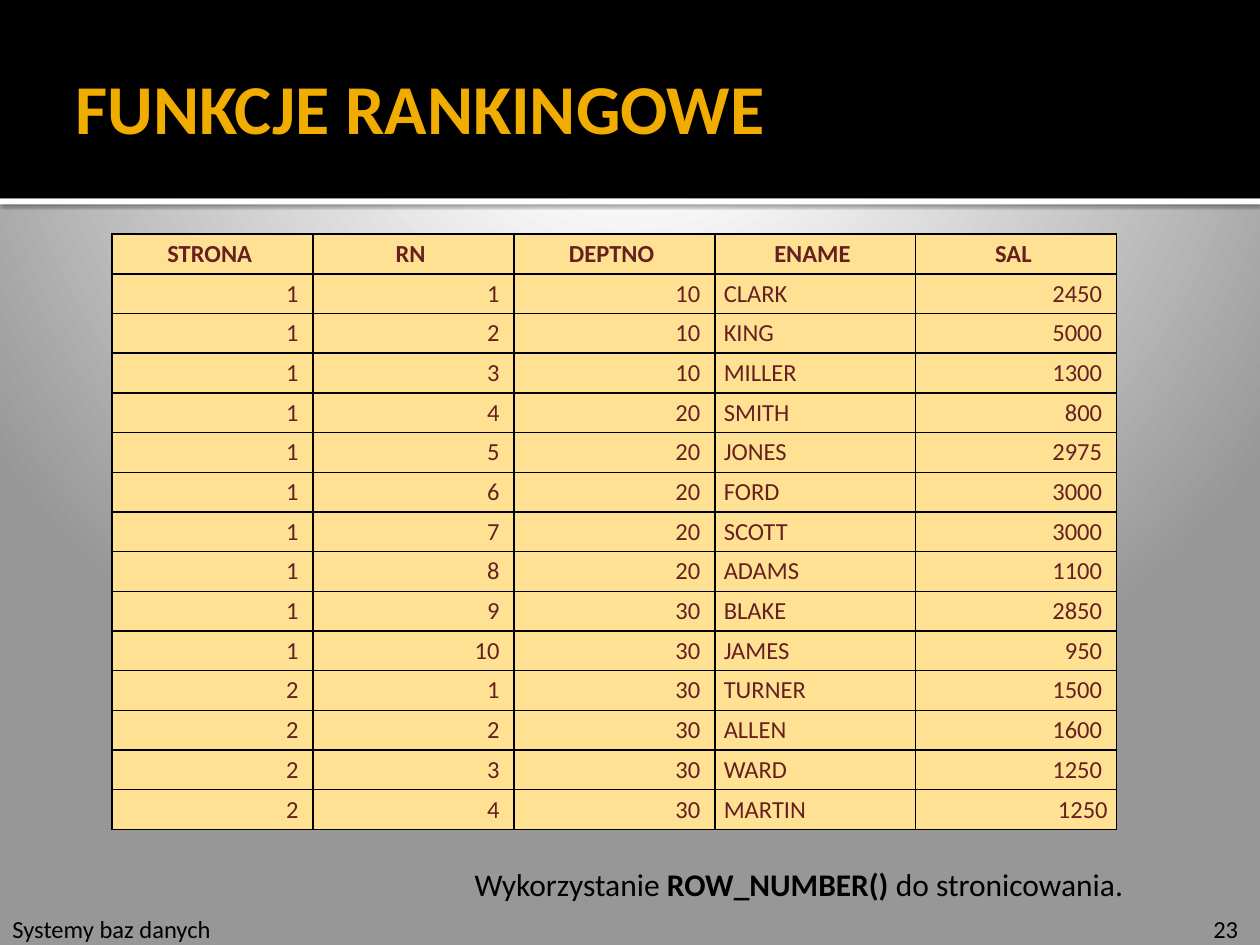
from dataclasses import dataclass

from pptx import Presentation, util as u
from pptx.dml.color import RGBColor
from pptx.enum import shapes, text
from pptx.oxml import parse_xml
from pptx.oxml.ns import nsdecls


@dataclass(frozen=True)
class Theme:
    font: str = "Calibri"
    ink: str = "000000"
    paper: str = "FFFFFF"
    backdrop: str = "979797"
    accent: str = "F0AD00"
    cell_fill: str = "FFE193"
    cell_ink: str = "672020"
    title_size: int = 40
    caption_size: int = 18
    small_size: int = 14


@dataclass(frozen=True)
class Box:
    """A frame in centimetres."""
    left: float
    top: float
    width: float
    height: float

    def emu(self) -> tuple:
        return tuple(u.Cm(v) for v in (self.left, self.top, self.width, self.height))


@dataclass(frozen=True)
class Label:
    box: Box
    runs: tuple  # (wording, bold) pairs
    size: int


THEME = Theme()
WIDTH, HEIGHT = 25.4, 19.05
HEADER_HEIGHT = 4
RULE = Box(0, HEADER_HEIGHT, WIDTH, 0.12)
HEADER = Box(0, 0, WIDTH, HEADER_HEIGHT)
TITLE = Box(1.27, 1.17, 22.86, 1.96)

COLUMN_WIDTH, ROW_HEIGHT = 4.05, 0.8
COLUMNS = ("STRONA ", "RN ", "DEPTNO ", "ENAME ", "SAL ")
NAME_COLUMN = COLUMNS.index("ENAME ")
PAGE_SIZE = 10
EMPLOYEES = (
    (10, "CLARK", "2450 "), (10, "KING", "5000 "), (10, "MILLER", "1300 "),
    (20, "SMITH", "800 "), (20, "JONES", "2975 "), (20, "FORD", "3000 "),
    (20, "SCOTT", "3000 "), (20, "ADAMS", "1100 "), (30, "BLAKE", "2850 "),
    (30, "JAMES", "950 "), (30, "TURNER", "1500 "), (30, "ALLEN", "1600 "),
    (30, "WARD", "1250 "), (30, "MARTIN", "1250"),
)
LABELS = (
    Label(Box(0, 18.31, 7.29, 0.86), (("Systemy baz danych", False),), THEME.small_size),
    Label(Box(24.21, 18.31, 1.19, 0.86), (("23", False),), THEME.small_size),
    Label(Box(9.32, 17.32, 14.38, 1.02),
          (("Wykorzystanie ", False), ("ROW_NUMBER() ", True), ("do stronicowania.", False)),
          THEME.caption_size),
)


def style_font(font, size: int, color: str, bold=None) -> None:
    font.name = THEME.font
    font.size = u.Pt(size)
    font.color.rgb = RGBColor.from_string(color)
    font.bold = bold


def paint_background(slide) -> None:
    stops = "".join(
        f'<a:gs pos="{percent * 1000}"><a:srgbClr val="{color}"/></a:gs>'
        for percent, color in ((0, THEME.paper), (20, THEME.paper), (100, THEME.backdrop)))
    slide.element.cSld.insert(0, parse_xml(
        f'<p:bg {nsdecls("p", "a")}><p:bgPr><a:gradFill rotWithShape="1">'
        f'<a:gsLst>{stops}</a:gsLst><a:path path="circle">'
        '<a:fillToRect l="10000" t="-25000" r="10000" b="125000"/></a:path>'
        '</a:gradFill><a:effectLst/></p:bgPr></p:bg>'))


def add_bar(slide, box: Box, color: str):
    bar = slide.shapes.add_shape(shapes.MSO_SHAPE.RECTANGLE, *box.emu())
    bar.shadow.inherit = False
    bar.fill.solid()
    bar.fill.fore_color.rgb = RGBColor.from_string(color)
    bar.line.fill.background()
    return bar


def cast_shadow(bar) -> None:
    effects = bar.element.spPr.find("{*}effectLst")
    effects.append(parse_xml(
        f'<a:outerShdw {nsdecls("a")} blurRad="{u.Pt(2.5)}" dist="{u.Pt(0.8)}" '
        f'dir="5400000" rotWithShape="0"><a:srgbClr val="{THEME.ink}">'
        '<a:alpha val="60000"/></a:srgbClr></a:outerShdw>'))


def place_title(slide, wording: str) -> None:
    title = slide.shapes.title
    title.left, title.top, title.width, title.height = TITLE.emu()
    frame = title.text_frame
    frame.text = wording
    frame.auto_size = text.MSO_AUTO_SIZE.NONE
    frame.vertical_anchor = text.MSO_ANCHOR.MIDDLE
    frame.margin_left = u.Cm(0.25)
    frame.margin_right = frame.margin_top = frame.margin_bottom = u.Cm(0.13)
    heading = frame.paragraphs[0]
    heading.alignment = text.PP_ALIGN.LEFT
    style_font(heading.font, THEME.title_size, THEME.accent, True)
    slide.shapes.element.append(title.element)  # in front of the header bar


def add_label(slide, label: Label) -> None:
    frame = slide.shapes.add_textbox(*label.box.emu()).text_frame
    frame.word_wrap = True
    frame.auto_size = text.MSO_AUTO_SIZE.SHAPE_TO_FIT_TEXT
    paragraph = frame.paragraphs[0]
    style_font(paragraph.font, label.size, THEME.ink)
    for wording, bold in label.runs:
        run = paragraph.add_run()
        run.text = wording
        if bold:
            run.font.bold = True


def outline_cell(cell) -> None:
    properties = cell._tc.get_or_add_tcPr()
    for position, side in enumerate(("lnL", "lnR", "lnT", "lnB")):
        properties.insert(position, parse_xml(
            f'<a:{side} {nsdecls("a")} w="{u.Pt(1)}"><a:solidFill>'
            f'<a:srgbClr val="{THEME.ink}"/></a:solidFill></a:{side}>'))


def fill_cell(cell, wording: str, alignment, bold: bool) -> None:
    cell.text = wording
    cell.vertical_anchor = text.MSO_ANCHOR.MIDDLE
    cell.margin_left = cell.margin_right = u.Cm(0.18)
    cell.margin_top = cell.margin_bottom = u.Cm(0.09)
    cell.fill.solid()
    cell.fill.fore_color.rgb = RGBColor.from_string(THEME.cell_fill)
    outline_cell(cell)
    paragraph = cell.text_frame.paragraphs[0]
    paragraph.alignment = alignment
    style_font(paragraph.font, THEME.small_size, THEME.cell_ink, bold)


def ranking_rows() -> list:
    """Header, then each employee with a page and a number within that page."""
    rows = [COLUMNS]
    for index, (department, name, salary) in enumerate(EMPLOYEES):
        page, offset = divmod(index, PAGE_SIZE)
        rows.append((f"{page + 1} ", f"{offset + 1} ", f"{department} ", name, salary))
    return rows


def add_ranking(slide) -> None:
    rows = ranking_rows()
    box = Box(2.26, 4.72, COLUMN_WIDTH * len(COLUMNS), ROW_HEIGHT * len(rows))
    table = slide.shapes.add_table(len(rows), len(COLUMNS), *box.emu()).table
    for column in table.columns:
        column.width = u.Cm(COLUMN_WIDTH)
    for r, row in enumerate(rows):
        table.rows[r].height = u.Cm(ROW_HEIGHT)
        for c, wording in enumerate(row):
            if r == 0:
                alignment = text.PP_ALIGN.CENTER
            elif c == NAME_COLUMN:
                alignment = text.PP_ALIGN.LEFT
            else:
                alignment = text.PP_ALIGN.RIGHT
            fill_cell(table.cell(r, c), wording, alignment, bold=r == 0)


def main() -> None:
    deck = Presentation()
    deck.slide_width, deck.slide_height = u.Cm(WIDTH), u.Cm(HEIGHT)
    slide = deck.slides.add_slide(deck.slide_layouts.get_by_name("Title Only"))
    paint_background(slide)
    cast_shadow(add_bar(slide, RULE, THEME.paper))
    add_bar(slide, HEADER, THEME.ink)
    place_title(slide, "FUNKCJE RANKINGOWE")
    for label in LABELS:
        add_label(slide, label)
    add_ranking(slide)
    deck.save("out.pptx")


if __name__ == "__main__":
    main()
